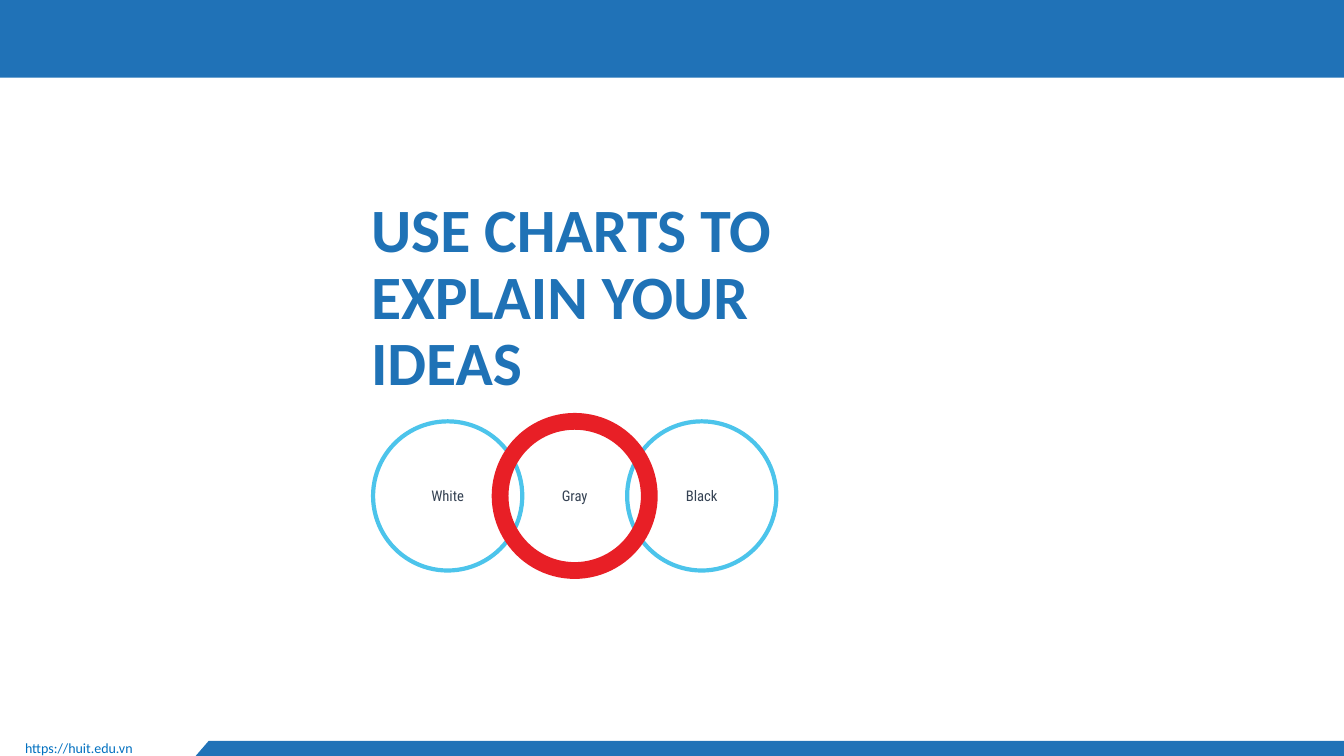
from pptx import Presentation
from pptx.dml.color import RGBColor
from pptx.enum.shapes import MSO_SHAPE as SHAPE
from pptx.enum.text import MSO_ANCHOR as ANCHOR, MSO_AUTO_SIZE as AUTO, PP_ALIGN as ALIGN
from pptx.util import Inches, Pt

COLORS = {"band": "2072B7", "title": "1F72B6", "link": "0070C0",
          "sky": "4CC4EB", "red": "E81F26", "label": "354253"}
FORMATS = {
    "title": {"name": "Calibri", "size": Pt(44), "bold": True},
    "link": {"name": "Calibri", "size": Pt(10)},
    "label": {"name": "Roboto Condensed", "size": Pt(10.5)},
}


def rgb(name):
    return RGBColor.from_string(COLORS[name])


class SlideBuilder:
    def __init__(self, prs):
        self.slide = prs.slides.add_slide(prs.slide_layouts[6])
        self.shapes = self.slide.shapes

    def fill_text(self, s, text, style, inset=None, **frame):
        tf = s.text_frame
        tf.word_wrap = True
        for key, value in frame.items():
            setattr(tf, key, value)
        if inset is not None:
            for side in ("left", "top", "right", "bottom"):
                setattr(tf, f"margin_{side}", Inches(inset))
        p = tf.paragraphs[0]
        r = p.add_run()
        r.text = text
        for key, value in FORMATS[style].items():
            setattr(r.font, key, value)
        r.font.color.rgb = rgb(style)
        return p

    def paint(self, s, color):
        s.shadow.inherit = False
        s.fill.solid()
        s.fill.fore_color.rgb = rgb(color)
        s.line.fill.background()

    def band(self, box, color):
        s = self.shapes.add_shape(SHAPE.RECTANGLE, *map(Inches, box))
        self.paint(s, color)

    def polygon(self, points, color):
        pts = [(Inches(x), Inches(y)) for x, y in points]
        outline = self.shapes.build_freeform(*pts[0])
        outline.add_line_segments(pts[1:], close=True)
        self.paint(outline.convert_to_shape(), color)

    def text(self, box, text, style, **frame):
        s = self.shapes.add_textbox(*map(Inches, box))
        return self.fill_text(s, text, style, **frame)

    def ring(self, box, label, color, width):
        s = self.shapes.add_shape(SHAPE.OVAL, *map(Inches, box))
        s.shadow.inherit = False
        s.fill.background()
        s.line.color.rgb = rgb(color)
        s.line.width = Pt(width)
        p = self.fill_text(s, label, "label", inset=0.07, vertical_anchor=ANCHOR.MIDDLE)
        p.alignment = ALIGN.CENTER


def main():
    prs = Presentation()
    prs.slide_width, prs.slide_height = Inches(13.33), Inches(7.5)
    b = SlideBuilder(prs)

    # Header and footer
    b.band((0, -0.01, 13.33, 0.78), "band")
    b.polygon([(2.07, 7.35), (13.33, 7.35), (13.33, 7.5), (1.94, 7.5)], "band")
    b.text((0.15, 7.29, 1.78, 0.28), "https://huit.edu.vn", "link",
           auto_size=AUTO.SHAPE_TO_FIT_TEXT)

    # Title, growing upwards from its bottom edge
    p = b.text((3.61, 3.47, 4.72, 0.56), "USE CHARTS TO EXPLAIN YOUR IDEAS", "title",
               inset=0.07, vertical_anchor=ANCHOR.BOTTOM)
    p.line_spacing = 0.9

    # Overlapping rings, the middle one in front
    left, top, size, step = 3.7, 4.18, 1.48, 1.26
    for col, label, color, width in [(0, "White", "sky", 3), (2, "Black", "sky", 3),
                                     (1, "Gray", "red", 12)]:
        b.ring((left + col * step, top, size, size), label, color, width)

    prs.save("out.pptx")


if __name__ == "__main__":
    main()
